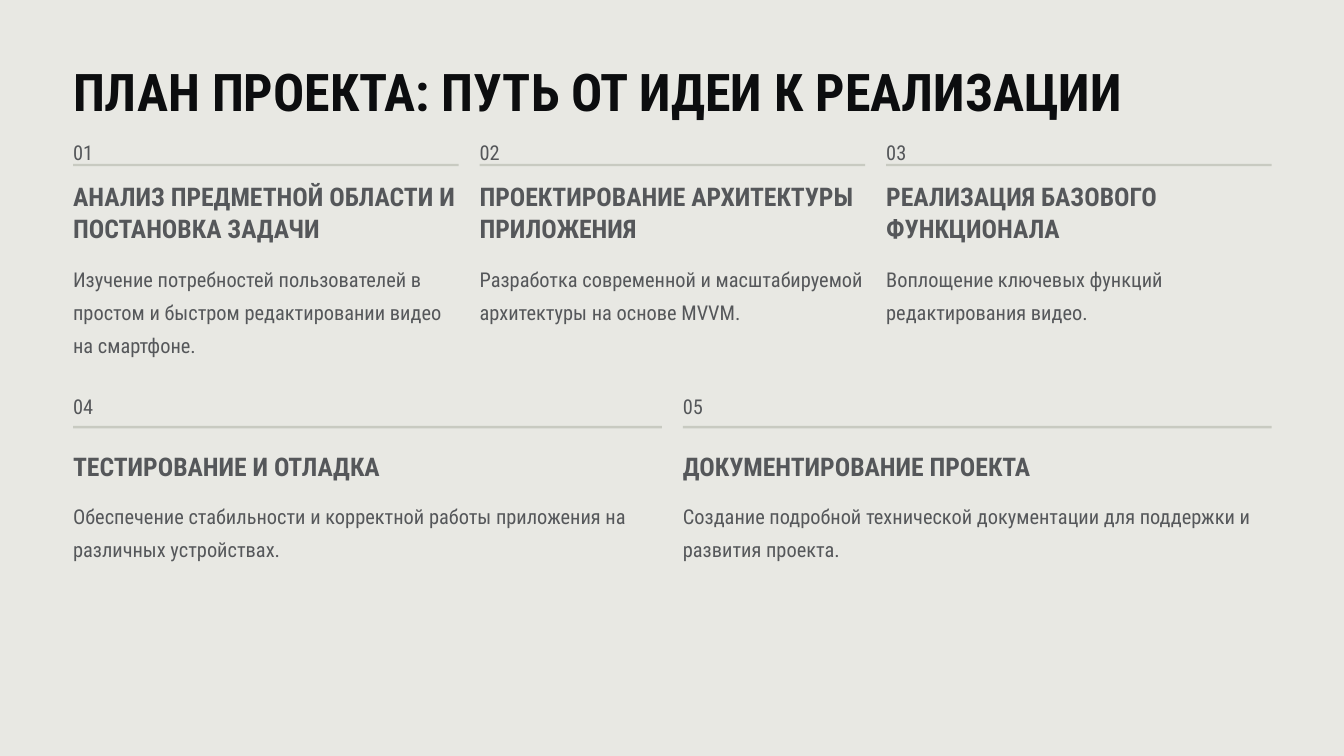
from dataclasses import dataclass

from pptx import Presentation
from pptx.dml.color import RGBColor
from pptx.enum.shapes import MSO_SHAPE as Shape
from pptx.util import Inches, Pt

FONT = "Roboto Condensed"
BACKGROUND, INK, GREY, RULE = "E8E8E3", "0C0D0F", "55575A", "C8CAC1"
MARGIN, CONTENT_WIDTH, GAP = 0.87, 14.27, 0.25
HEADING_LINE, BODY_LINE = 0.39, 0.4


@dataclass
class Step:
    """One project step and the line counts of its two text boxes."""
    heading: str
    body: str
    heading_lines: int
    body_lines: int


@dataclass
class Row:
    """Vertical places of the parts of a row of steps."""
    number_top: float
    rule_top: float
    heading_top: float
    body_top: float
    steps: list


ROWS = [
    Row(1.56, 1.95, 2.14, 3.07, [
        Step("АНАЛИЗ ПРЕДМЕТНОЙ ОБЛАСТИ И ПОСТАНОВКА ЗАДАЧИ",
             "Изучение потребностей пользователей в простом и быстром "
             "редактировании видео на смартфоне.", 3, 3),
        Step("ПРОЕКТИРОВАНИЕ АРХИТЕКТУРЫ ПРИЛОЖЕНИЯ",
             "Разработка современной и масштабируемой архитектуры "
             "на основе MVVM.", 3, 3),
        Step("РЕАЛИЗАЦИЯ БАЗОВОГО ФУНКЦИОНАЛА",
             "Воплощение ключевых функций редактирования видео.", 2, 2),
    ]),
    Row(4.59, 5.07, 5.35, 5.9, [
        Step("ТЕСТИРОВАНИЕ И ОТЛАДКА",
             "Обеспечение стабильности и корректной работы приложения "
             "на различных устройствах.", 1, 2),
        Step("ДОКУМЕНТИРОВАНИЕ ПРОЕКТА",
             "Создание подробной технической документации для поддержки "
             "и развития проекта.", 1, 2),
    ]),
]


def paint(fill, color):
    """Give a fill one solid colour."""
    fill.solid()
    fill.fore_color.rgb = RGBColor.from_string(color)


def add_text(slide, text, left, top, width, height, *, size=17.5, spacing=28.5,
             color=GREY, bold=False, wrap=True):
    """Add a text box without insets and with exact line spacing."""
    box = slide.shapes.add_textbox(Inches(left), Inches(top), Inches(width), Inches(height))
    frame = box.text_frame
    frame.word_wrap = wrap
    frame.margin_left = frame.margin_right = frame.margin_top = frame.margin_bottom = 0
    paragraph = frame.paragraphs[0]
    paragraph.line_spacing = Pt(spacing)
    run = paragraph.add_run()
    run.text = text
    run.font.name = FONT
    run.font.size = Pt(size)
    run.font.bold = bold
    paint(run.font.fill, color)


def add_rule(slide, left, top, width):
    """Add the thin bar under a step number."""
    bar = slide.shapes.add_shape(
        Shape.RECTANGLE, Inches(left), Inches(top), Inches(width), Inches(0.03))
    bar.shadow.inherit = False
    bar.line.fill.background()
    paint(bar.fill, RULE)


def add_step(slide, number, step, row, left, width):
    """Add the number, rule, heading and body of a step."""
    add_text(slide, f"{number:02}", left, row.number_top, 0.25, 0.31, wrap=False)
    add_rule(slide, left, row.rule_top, width)
    add_text(slide, step.heading, left, row.heading_top, width,
             step.heading_lines * HEADING_LINE, size=22, spacing=27.5, bold=True)
    add_text(slide, step.body, left, row.body_top, width, step.body_lines * BODY_LINE)


def main():
    """Build the project plan slide."""
    presentation = Presentation()
    presentation.slide_width, presentation.slide_height = Inches(16), Inches(9)
    slide = presentation.slides.add_slide(presentation.slide_layouts[6])
    paint(slide.background.fill, BACKGROUND)
    add_text(slide, "ПЛАН ПРОЕКТА: ПУТЬ ОТ ИДЕИ К РЕАЛИЗАЦИИ", MARGIN, 0.68,
             CONTENT_WIDTH, 1.55, size=44.5, spacing=55.5, color=INK, bold=True)
    number = 0
    for row in ROWS:
        count = len(row.steps)
        width = (CONTENT_WIDTH - GAP * (count - 1)) / count
        for column, step in enumerate(row.steps):
            number += 1
            add_step(slide, number, step, row, MARGIN + column * (width + GAP), width)
    presentation.save("out.pptx")


if __name__ == "__main__":
    main()
